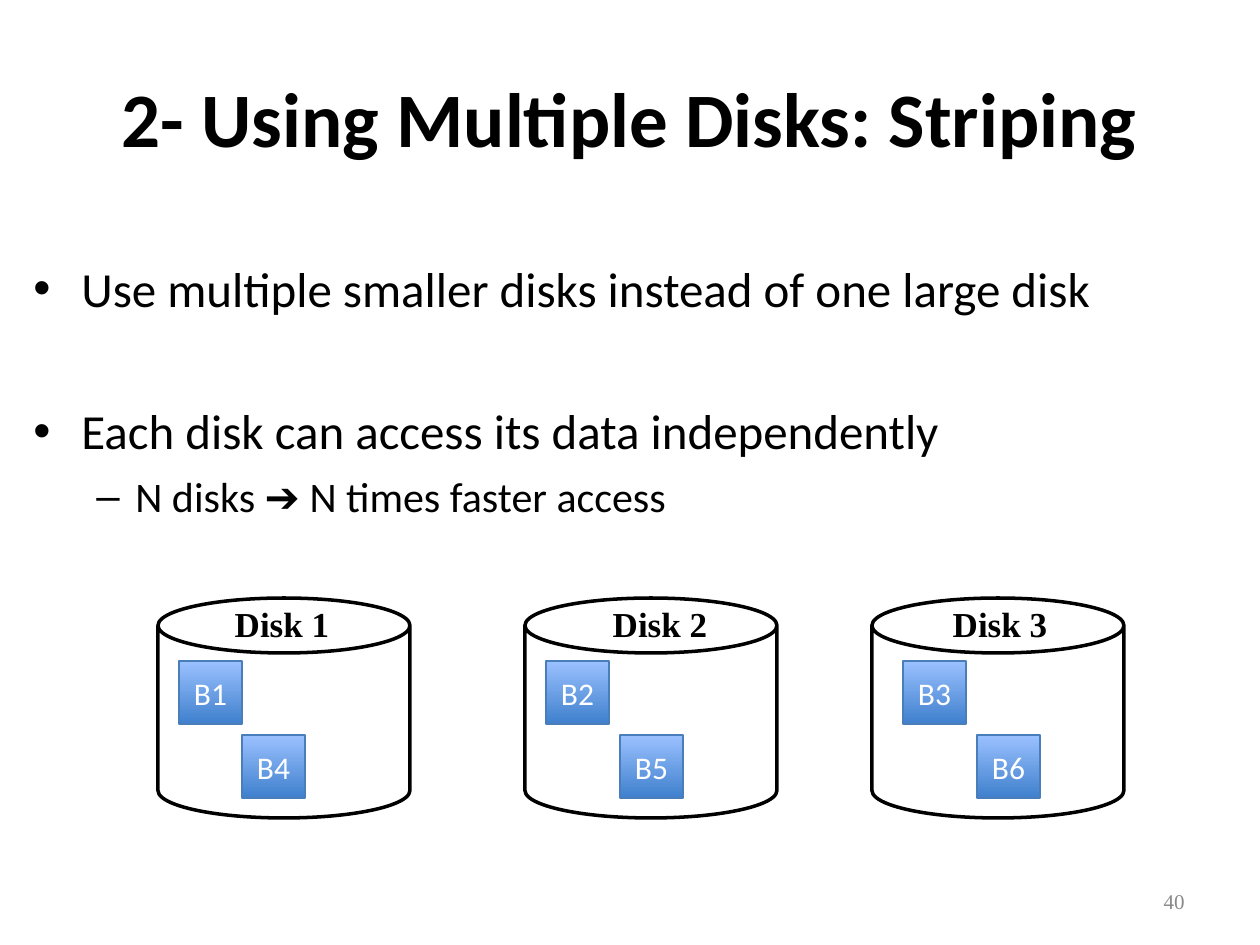
from lxml import etree
from pptx import Presentation
from pptx import util as u
from pptx.dml.color import RGBColor
from pptx.enum import shapes, text
from pptx.oxml.ns import qn

PX = 914400 / 126
BLACK = RGBColor(0x00, 0x00, 0x00)
WHITE = RGBColor(0xFF, 0xFF, 0xFF)
GRAY = RGBColor(0x89, 0x89, 0x89)
BLOCK_DARK = RGBColor(0x3F, 0x80, 0xCD)
BLOCK_LIGHT = RGBColor(0x9B, 0xC1, 0xFF)
BLOCK_LINE = RGBColor(0x4A, 0x7E, 0xBB)

DISK_TOP, DISK_WIDTH, DISK_HEIGHT = 598, 252, 220
LABEL_TOP, LABEL_WIDTH, LABEL_HEIGHT = 596, 120, 55
BLOCK_SIZE, BLOCK_TOPS = 63, (661, 735)

# disk left, label left, then the left edge and name of each block
DISKS = [
    (158, 222, "Disk 1", [(179, "B1"), (242, "B4")]),
    (525, 600, "Disk 2", [(546, "B2"), (620, "B5")]),
    (872, 940, "Disk 3", [(903, "B3"), (977, "B6")]),
]

# text, level, space before in points
BULLETS = [
    ("Use multiple smaller disks instead of one large disk", 0, 0),
    ("Each disk can access its data independently", 0, 48),
    ("N disks ➔ N times faster access", 1, 6),
]
# marker, left margin, hanging indent, font size
LEVELS = [("•", 48, 48, 28), ("–", 102, 39, 24)]


def px(*lengths):
    return [u.Emu(round(length * PX)) for length in lengths]


def write(paragraph, content, size=18, color=BLACK, font="Calibri", bold=False,
          align=text.PP_ALIGN.LEFT):
    paragraph.alignment = align
    for index, part in enumerate(content.split("➔")):
        pieces = [(part, font)] if index == 0 else [("➔", "Arial"), (part, font)]
        for piece, name in pieces:
            run = paragraph.add_run()
            run.text = piece
            run.font.size = u.Pt(size)
            run.font.name = name
            run.font.bold = bold
            run.font.color.rgb = color


def add_text_box(slide, box, anchor=text.MSO_ANCHOR.TOP, wrap=True):
    frame = slide.shapes.add_textbox(*px(*box)).text_frame
    frame.word_wrap = wrap
    frame.vertical_anchor = anchor
    return frame


def set_bullet(paragraph, marker, margin, hanging):
    properties = paragraph._p.get_or_add_pPr()
    left, indent = px(margin, -hanging)
    properties.set("marL", str(left))
    properties.set("indent", str(indent))
    etree.SubElement(properties, qn("a:buFont")).set("typeface", "Arial")
    etree.SubElement(properties, qn("a:buChar")).set("char", marker)


def add_bullets(slide, box):
    frame = add_text_box(slide, box)
    for index, (content, level, space) in enumerate(BULLETS):
        paragraph = frame.add_paragraph() if index else frame.paragraphs[0]
        marker, margin, hanging, size = LEVELS[level]
        paragraph.level = level
        paragraph.space_before = u.Pt(space)
        set_bullet(paragraph, marker, margin, hanging)
        write(paragraph, content, size=size)


def add_outlined_shape(slide, kind, box, line_color, line_width):
    shape = slide.shapes.add_shape(kind, *px(*box))
    shape.shadow.inherit = False
    shape.line.color.rgb = line_color
    shape.line.width = u.Pt(line_width)
    return shape


def add_disk(slide, left):
    box = (left, DISK_TOP, DISK_WIDTH, DISK_HEIGHT)
    shape = add_outlined_shape(slide, shapes.MSO_SHAPE.CAN, box, BLACK, 2)
    shape.adjustments[0] = 0.25
    shape.fill.background()


def add_block(slide, left, top, name):
    box = (left, top, BLOCK_SIZE, BLOCK_SIZE)
    shape = add_outlined_shape(slide, shapes.MSO_SHAPE.RECTANGLE, box, BLOCK_LINE, 0.75)
    shape.fill.gradient()
    shape.fill.gradient_angle = 90
    for stop, color, position in zip(shape.fill.gradient_stops,
                                     (BLOCK_DARK, BLOCK_LIGHT), (0, 1)):
        stop.color.rgb = color
        stop.position = position
    frame = shape.text_frame
    frame.vertical_anchor = text.MSO_ANCHOR.MIDDLE
    write(frame.paragraphs[0], name, color=WHITE, align=text.PP_ALIGN.CENTER)


def add_label(slide, left, name):
    frame = add_text_box(slide, (left, LABEL_TOP, LABEL_WIDTH, LABEL_HEIGHT), wrap=False)
    frame.auto_size = text.MSO_AUTO_SIZE.SHAPE_TO_FIT_TEXT
    write(frame.paragraphs[0], name, size=20, font="Times New Roman", bold=True,
          align=text.PP_ALIGN.CENTER)


def main():
    presentation = Presentation()
    presentation.slide_width, presentation.slide_height = px(1260, 945)
    slide = presentation.slides.add_slide(presentation.slide_layouts[6])

    title = add_text_box(slide, (63, 38, 1134, 157), text.MSO_ANCHOR.MIDDLE)
    write(title.paragraphs[0], "2- Using Multiple Disks: Striping", size=44, bold=True,
          align=text.PP_ALIGN.CENTER)
    add_bullets(slide, (21, 252, 1166, 325))
    number = add_text_box(slide, (903, 876, 294, 50), text.MSO_ANCHOR.MIDDLE)
    write(number.paragraphs[0], "40", size=12, color=GRAY, font="Times New Roman",
          align=text.PP_ALIGN.RIGHT)

    for disk_left, label_left, label, blocks in DISKS:
        add_disk(slide, disk_left)
        for (block_left, name), top in zip(blocks, BLOCK_TOPS):
            add_block(slide, block_left, top, name)
        add_label(slide, label_left, label)

    presentation.save("out.pptx")


if __name__ == "__main__":
    main()
